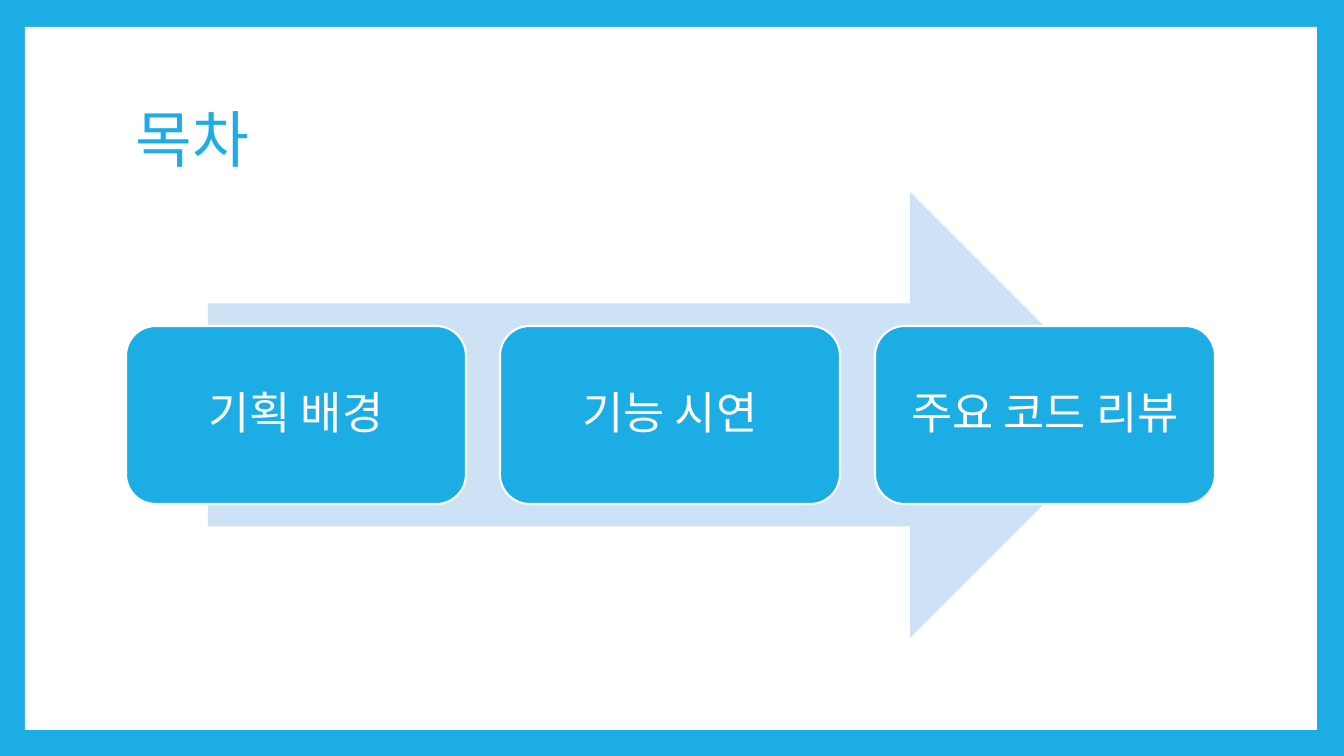
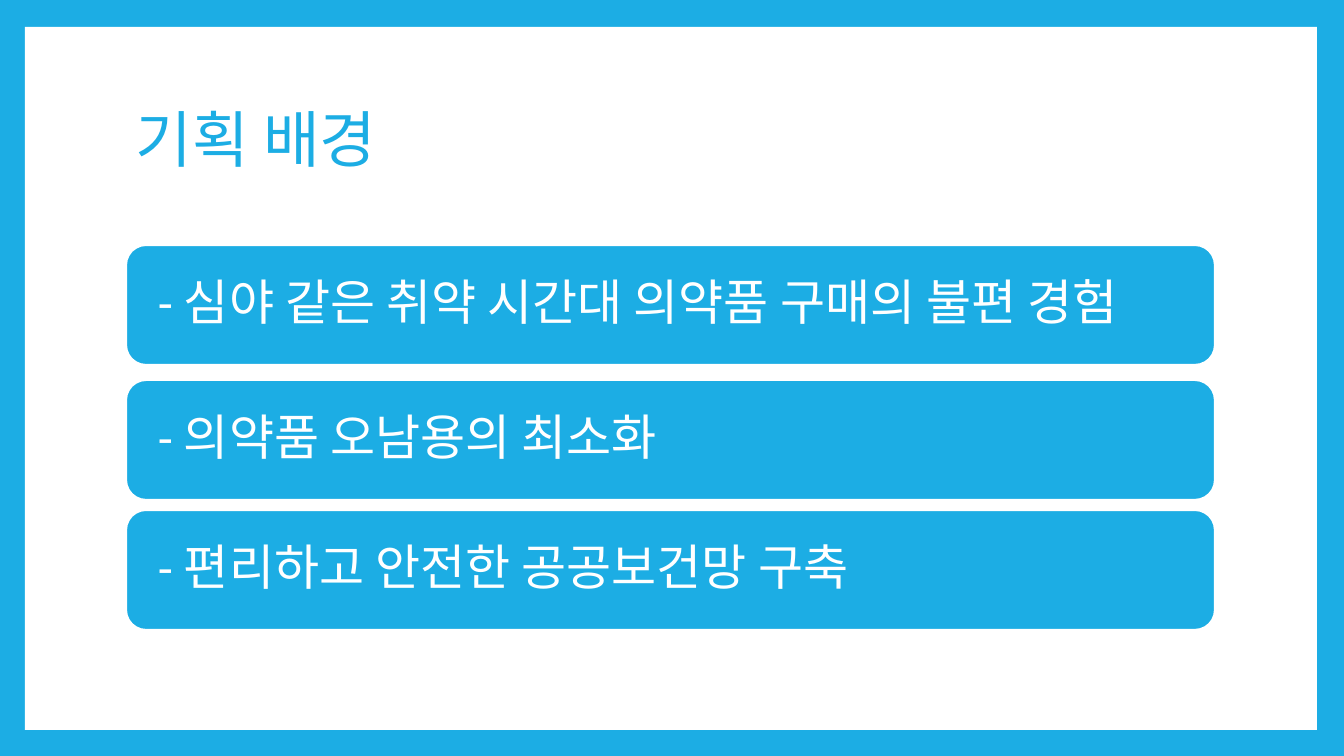
from dataclasses import dataclass

from lxml import etree
from pptx import Presentation
from pptx.dml.color import RGBColor
from pptx.enum.shapes import MSO_SHAPE
from pptx.enum.text import MSO_ANCHOR, PP_ALIGN
from pptx.oxml.ns import qn
from pptx.presentation import Presentation as Deck
from pptx.shapes.autoshape import Shape
from pptx.slide import Slide
from pptx.util import Emu, Pt

RECT = MSO_SHAPE.RECTANGLE
ROUND = MSO_SHAPE.ROUNDED_RECTANGLE
ARROW = MSO_SHAPE.RIGHT_ARROW
MIDDLE = MSO_ANCHOR.MIDDLE
LEFT, CENTER = PP_ALIGN.LEFT, PP_ALIGN.CENTER
SCALE = 914400 / 100.8


# Theme
@dataclass(frozen=True)
class Theme:
    blue: RGBColor = RGBColor(0x1C, 0xAD, 0xE4)
    pale: RGBColor = RGBColor(0xCD, 0xE3, 0xF5)
    white: RGBColor = RGBColor(0xFF, 0xFF, 0xFF)
    head: str = "Noto Sans CJK KR"
    body: str = "Calibri"
    asian: str = "Noto Sans CJK KR"
    title: int = 44
    card: int = 32
    row: int = 35
    line: float = 1.5
    lead: float = 0.9


@dataclass(frozen=True)
class Box:
    x: int
    y: int
    w: int
    h: int


@dataclass(frozen=True)
class Style:
    size: int
    font: str
    color: RGBColor
    align: PP_ALIGN
    pad: int
    left: int


@dataclass(frozen=True)
class Tile:
    text: str
    box: Box


THEME = Theme()
TITLE = Style(THEME.title, THEME.head, THEME.blue, LEFT, 5, 10)
CARD = Style(THEME.card, THEME.body, THEME.white, CENTER, 13, 13)
ROW = Style(THEME.row, THEME.body, THEME.white, LEFT, 15, 26)

# Shared layout
PAGE = Box(0, 0, 1344, 756)
PANEL = Box(25, 27, 1292, 703)
HEAD = Box(126, 68, 1089, 149)

# Agenda steps, spread evenly across the title width
STEPS = ("기획 배경", "기능 시연", "주요 코드 리뷰")
SHAFT = Box(208, 192, 925, 446)
WIDE, TALL = 340, 178
CARDS = [
    Tile(text, Box(HEAD.x + i * (HEAD.w - WIDE) // (len(STEPS) - 1), 326, WIDE, TALL))
    for i, text in enumerate(STEPS)
]

# Background reasons, one row each
ROWS = [
    Tile(text, Box(HEAD.x, top, HEAD.w, 120))
    for top, text in (
        (245, "- 심야 같은 취약 시간대 의약품 구매의 불편 경험"),
        (380, "- 의약품 오남용의 최소화"),
        (510, "- 편리하고 안전한 공공보건망 구축"),
    )
]


def px(size: int) -> Emu:
    return Emu(round(size * SCALE))


def place(box: Box) -> tuple[Emu, Emu, Emu, Emu]:
    return px(box.x), px(box.y), px(box.w), px(box.h)


def block(slide: Slide, kind: MSO_SHAPE, box: Box, fill: RGBColor) -> Shape:
    shape = slide.shapes.add_shape(kind, *place(box))
    shape.shadow.inherit = False
    shape.fill.solid()
    shape.fill.fore_color.rgb = fill
    shape.line.fill.background()
    return shape


def write(shape: Shape, text: str, style: Style) -> None:
    frame = shape.text_frame
    frame.word_wrap = True
    frame.vertical_anchor = MIDDLE
    frame.margin_left = px(style.left)
    frame.margin_top = frame.margin_right = frame.margin_bottom = px(style.pad)
    para = frame.paragraphs[0]
    para.alignment = style.align
    para.line_spacing = THEME.lead
    run = para.add_run()
    run.text = text
    font = run.font
    font.size = Pt(style.size)
    font.name = style.font
    font.color.rgb = style.color
    # Hangul glyphs take the East Asian typeface
    asian = etree.SubElement(run._r.get_or_add_rPr(), qn("a:ea"))
    asian.set("typeface", THEME.asian)


def tiles(slide: Slide, items: list[Tile], style: Style) -> None:
    for item in items:
        shape = block(slide, ROUND, item.box, THEME.blue)
        shape.line.color.rgb = THEME.white
        shape.line.width = Pt(THEME.line)
        write(shape, item.text, style)


def page(deck: Deck, title: str) -> Slide:
    slide = deck.slides.add_slide(deck.slide_layouts[6])
    block(slide, RECT, PANEL, THEME.white)
    write(slide.shapes.add_textbox(*place(HEAD)), title, TITLE)
    return slide


def main() -> None:
    deck = Presentation()
    deck.slide_width, deck.slide_height = px(PAGE.w), px(PAGE.h)
    back = deck.slide_master.background.fill
    back.solid()
    back.fore_color.rgb = THEME.blue

    # Agenda
    slide = page(deck, "목차")
    block(slide, ARROW, SHAFT, THEME.pale)
    tiles(slide, CARDS, CARD)

    # Background
    slide = page(deck, STEPS[0])
    tiles(slide, ROWS, ROW)

    deck.save("out.pptx")


main()
